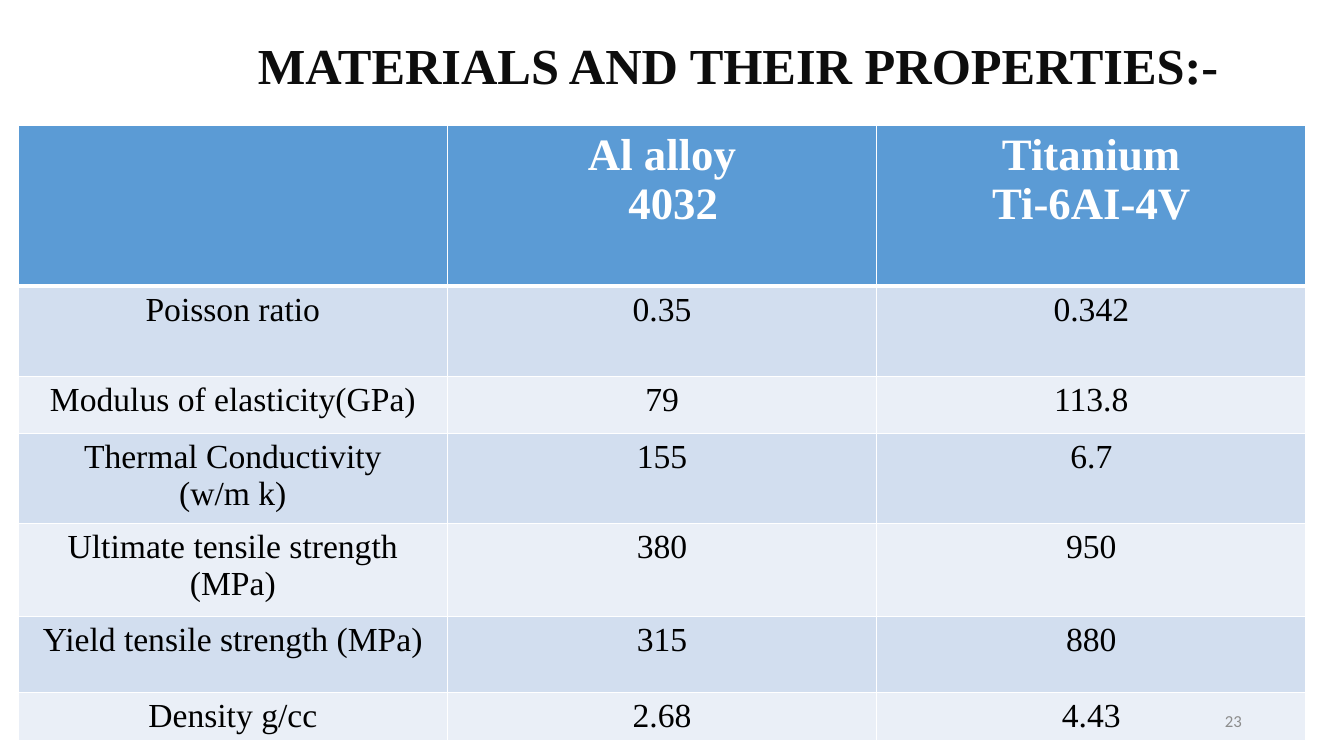
from lxml import etree
from pptx import Presentation
from pptx.dml.color import RGBColor
from pptx.enum.text import MSO_ANCHOR, PP_ALIGN
from pptx.oxml.ns import qn
from pptx.util import Pt

CENTER, RIGHT = PP_ALIGN.CENTER, PP_ALIGN.RIGHT
MIDDLE = MSO_ANCHOR.MIDDLE
SERIF = "Times New Roman"
HEADER_FILL, BANDS = "5B9BD5", ("EAEFF7", "D2DEEF")


def rgb(value):
    return RGBColor.from_string(value)


def write(frame, text, size=24, font=SERIF, color="000000", bold=False, align=CENTER):
    frame.text = text
    for paragraph in frame.paragraphs:
        paragraph.alignment = align
        for run in paragraph.runs:
            run.font.size = Pt(size)
            run.font.name = font
            run.font.bold = bold
            run.font.color.rgb = rgb(color)


prs = Presentation()
prs.slide_width, prs.slide_height = Pt(960), Pt(540)
slide = prs.slides.add_slide(prs.slide_layouts[6])

# Properties table
properties = [
    (115.2, "", "Al alloy\n4032", "Titanium\nTi-6AI-4V"),
    (64.4, "Poisson ratio", "0.35", "0.342"),
    (40.8, "Modulus of elasticity(GPa)", "79", "113.8"),
    (64.4, "Thermal Conductivity\n(w/m k)", "155", "6.7"),
    (66.4, "Ultimate tensile strength\n(MPa)", "380", "950"),
    (54.2, "Yield tensile strength (MPa)", "315", "880"),
    (34.4, "Density g/cc", "2.68", "4.43"),
]
table = slide.shapes.add_table(
    len(properties), 3, Pt(13), Pt(89.3), Pt(920), Pt(439.8)).table
for column in table.columns:
    column.width = Pt(306.6)

for row, (height, *entries) in enumerate(properties):
    table.rows[row].height = Pt(height)
    header = row == 0
    for col, entry in enumerate(entries):
        cell = table.cell(row, col)
        # White rules, thicker around the header's lower edge
        for side in ("L", "R", "T", "B"):
            thick = (header and side == "B") or (row == 1 and side == "T")
            rule = etree.SubElement(cell._tc.get_or_add_tcPr(), qn(f"a:ln{side}"),
                                    w=str(Pt(3 if thick else 1)))
            paint = etree.SubElement(rule, qn("a:solidFill"))
            etree.SubElement(paint, qn("a:srgbClr"), val="FFFFFF")
        cell.fill.solid()
        cell.fill.fore_color.rgb = rgb(HEADER_FILL if header else BANDS[row % 2])
        if header:
            write(cell.text_frame, entry, size=32, color="FFFFFF", bold=True)
        else:
            write(cell.text_frame, entry)

# The alloy number sits slightly right of centre
alloy_number = table.cell(0, 1).text_frame.paragraphs[1]
alloy_number._p.get_or_add_pPr().set("marL", str(Pt(16)))

# Title
title = slide.shapes.add_textbox(Pt(173.5), Pt(20.9), Pt(707.8), Pt(51)).text_frame
title.word_wrap = False
write(title, "MATERIALS AND THEIR PROPERTIES:-", size=36, color="0D0D0D", bold=True)

# Page number
page = slide.shapes.add_textbox(Pt(678.2), Pt(500.4), Pt(216), Pt(28.8)).text_frame
page.word_wrap = True
page.vertical_anchor = MIDDLE
write(page, "23", size=12, font="Calibri", color="8C8C8C", align=RIGHT)

prs.save("out.pptx")
